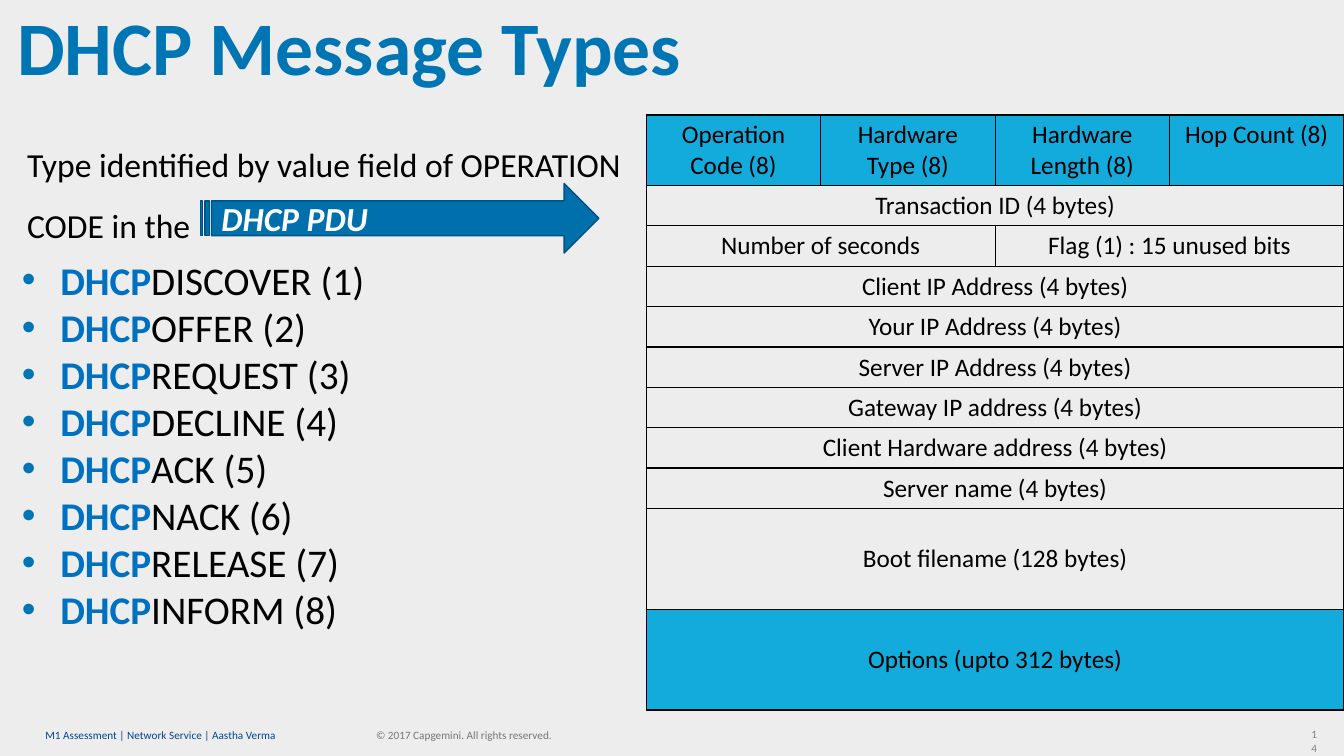
"""Build the DHCP Message Types slide."""
from lxml import etree
from pptx import Presentation
from pptx.dml.color import RGBColor
from pptx.enum.shapes import MSO_SHAPE as SHAPE
from pptx.enum.text import MSO_ANCHOR as ANCHOR, PP_ALIGN as ALIGN
from pptx.oxml.ns import qn
from pptx.util import Inches, Pt

TITLE = "DHCP Message Types"
INTRO = "Type identified by value field of OPERATION CODE in the"
ARROW = "DHCP PDU"
PREFIX = "DHCP"
MESSAGES = ["DISCOVER (1)", "OFFER (2)", "REQUEST (3)", "DECLINE (4)",
            "ACK (5)", "NACK (6)", "RELEASE (7)", "INFORM (8)"]
FIELDS = [
    (0.7, True, ["Operation Code (8)", "Hardware Type (8)",
                 "Hardware Length (8)", "Hop Count (8)"]),
    (0.4, False, ["Transaction ID (4 bytes)"]),
    (0.4, False, ["Number of seconds", "Flag (1) : 15 unused bits"]),
    (0.4, False, ["Client IP Address (4 bytes)"]),
    (0.4, False, ["Your IP Address (4 bytes)"]),
    (0.4, False, ["Server IP Address (4 bytes)"]),
    (0.4, False, ["Gateway IP address (4 bytes)"]),
    (0.4, False, ["Client Hardware address (4 bytes)"]),
    (0.4, False, ["Server name (4 bytes)"]),
    (1.0, False, ["Boot filename (128 bytes)"]),
    (1.0, True, ["Options (upto 312 bytes)"]),
]
COLUMNS = 4
FOOTERS = [
    ("M1 Assessment | Network Service | Aastha Verma", (0.45, 7.17, 3.09, 0.24), "author"),
    ("© 2017 Capgemini. All rights reserved.", (3.73, 7.17, 2.43, 0.24), "rights"),
]
PAGE = "14"

THEME = {
    "font": "Calibri",
    "background": "EDEDED", "highlight": "12ABDB", "grid": "000000",
    "arrow": "0070AD", "arrow_line": "005380", "bullet": "0075B3",
    "title": {"size": 54, "color": "0075B3", "bold": True},
    "intro": {"size": 24, "color": "000000"},
    "prefix": {"size": 28, "color": "0070C0", "bold": True},
    "message": {"size": 28, "color": "000000"},
    "arrow_text": {"size": 24, "color": "FFFFFF", "bold": True, "italic": True},
    "cell": {"size": 18, "color": "000000"},
    "author": {"size": 8, "color": "00458D"},
    "rights": {"size": 8, "color": "767676"},
    "page": {"size": 8, "color": "808080"},
}


def rgb(name):
    return RGBColor.from_string(THEME[name])


def add_run(p, text, style):
    r = p.add_run()
    r.text = text
    r.font.name = THEME["font"]
    for key, value in THEME[style].items():
        if key == "color":
            r.font.color.rgb = RGBColor.from_string(value)
        else:
            setattr(r.font, key, Pt(value) if key == "size" else value)


def add_box(slide, at, inset=True, anchor=ANCHOR.TOP):
    tf = slide.shapes.add_textbox(*map(Inches, at)).text_frame
    tf.word_wrap = True
    tf.vertical_anchor = anchor
    if not inset:
        for side in ("left", "top", "right", "bottom"):
            setattr(tf, f"margin_{side}", 0)
    return tf


def add_bullet(p):
    pPr = p._p.get_or_add_pPr()
    pPr.set("marL", str(Inches(0.38)))
    pPr.set("indent", str(-Inches(0.38)))
    color = etree.SubElement(pPr, qn("a:buClr"))
    etree.SubElement(color, qn("a:srgbClr"), val=THEME["bullet"])
    etree.SubElement(pPr, qn("a:buFont"), typeface="Arial")
    etree.SubElement(pPr, qn("a:buChar"), char="•")


def add_borders(cell):
    tcPr = cell._tc.get_or_add_tcPr()
    for i, side in enumerate(("lnL", "lnR", "lnT", "lnB")):
        line = etree.Element(qn(f"a:{side}"), w=str(Pt(1)))
        fill = etree.SubElement(line, qn("a:solidFill"))
        etree.SubElement(fill, qn("a:srgbClr"), val=THEME["grid"])
        tcPr.insert(i, line)


def add_packet(slide):
    height = sum(h for h, _, _ in FIELDS)
    frame = slide.shapes.add_table(len(FIELDS), COLUMNS, Inches(6.41), Inches(1.14),
                                   Inches(1.73 * COLUMNS), Inches(height))
    table = frame.table
    table.first_row = table.horz_banding = False
    for i, (h, highlighted, texts) in enumerate(FIELDS):
        table.rows[i].height = Inches(h)
        for j in range(COLUMNS):
            cell = table.cell(i, j)
            if highlighted:
                cell.fill.solid()
                cell.fill.fore_color.rgb = rgb("highlight")
            else:
                cell.fill.background()
            add_borders(cell)
        span = COLUMNS // len(texts)
        for n, text in enumerate(texts):
            cell = table.cell(i, n * span)
            if span > 1:
                cell.merge(table.cell(i, (n + 1) * span - 1))
                cell.vertical_anchor = ANCHOR.MIDDLE
            p = cell.text_frame.paragraphs[0]
            p.alignment = ALIGN.CENTER
            add_run(p, text, "cell")


def add_arrow(slide):
    sp = slide.shapes.add_shape(SHAPE.STRIPED_RIGHT_ARROW,
                                *map(Inches, (1.99, 1.82, 3.95, 0.69)))
    sp.shadow.inherit = False
    sp.fill.solid()
    sp.fill.fore_color.rgb = rgb("arrow")
    sp.line.color.rgb = rgb("arrow_line")
    sp.line.width = Pt(1)
    tf = sp.text_frame
    tf.vertical_anchor = ANCHOR.MIDDLE
    p = tf.paragraphs[0]
    p.alignment = ALIGN.LEFT
    add_run(p, ARROW, "arrow_text")


def main():
    prs = Presentation()
    prs.slide_width, prs.slide_height = Inches(13.33), Inches(7.5)
    slide = prs.slides.add_slide(prs.slide_layouts[6])
    slide.background.fill.solid()
    slide.background.fill.fore_color.rgb = rgb("background")

    for text, at, style in FOOTERS:
        tf = add_box(slide, at, inset=False, anchor=ANCHOR.MIDDLE)
        add_run(tf.paragraphs[0], text, style)
    p = add_box(slide, (12.89, 7.17, 0.27, 0.24)).paragraphs[0]
    p.alignment = ALIGN.RIGHT
    add_run(p, PAGE, "page")

    p = add_box(slide, (0.17, 0.12, 9.18, 0.78), False, ANCHOR.BOTTOM).paragraphs[0]
    p.line_spacing = Pt(30)
    add_run(p, TITLE, "title")
    p = add_box(slide, (0.17, 1.18, 6.11, 1.31)).paragraphs[0]
    p.line_spacing = 1.5
    add_run(p, INTRO, "intro")

    tf = add_box(slide, (0.12, 2.49, 6.1, 3.9))
    for i, message in enumerate(MESSAGES):
        p = tf.add_paragraph() if i else tf.paragraphs[0]
        add_bullet(p)
        p.alignment = ALIGN.JUSTIFY
        add_run(p, PREFIX, "prefix")
        add_run(p, message, "message")

    add_packet(slide)
    add_arrow(slide)
    prs.save("out.pptx")


if __name__ == "__main__":
    main()
